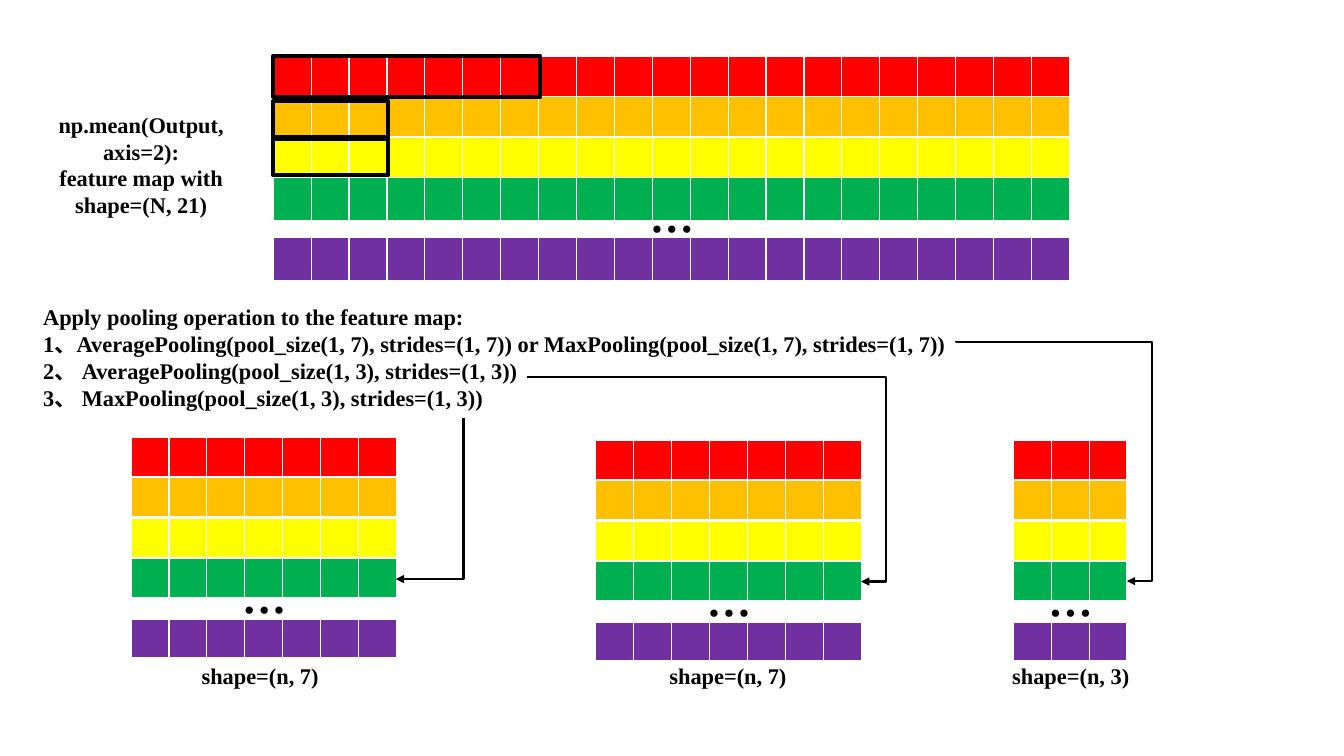
"""Build the slide on pooling a feature map into three smaller maps."""
from dataclasses import dataclass

from lxml.etree import SubElement
from pptx import Presentation
from pptx.dml.color import RGBColor as RGB
from pptx.enum.shapes import MSO_CONNECTOR as LINK, MSO_SHAPE as SHAPE
from pptx.enum.text import PP_ALIGN as ALIGN
from pptx.oxml import parse_xml
from pptx.oxml.ns import nsdecls, qn
from pptx.util import Inches, Pt


@dataclass
class Theme:
    font: str = "Times New Roman"
    ink: str = "000000"
    edge: str = "FFFFFF"
    rows: tuple = ("FF0000", "FFC000", "FFFF00", "00B050", "7030A0")
    body: int = 16
    dots: int = 32
    frame: float = 3
    link: float = 1.75


theme = Theme()
deck = Presentation()
deck.slide_width, deck.slide_height = Inches(13.33), Inches(7.5)
slide = deck.slides.add_slide(deck.slide_layouts[6])
shapes = slide.shapes


def write(text, x, y, wide, high, size=theme.body, align=ALIGN.CENTER):
    box = shapes.add_textbox(Inches(x), Inches(y), Inches(wide), Inches(high))
    frame = box.text_frame
    frame.word_wrap = True
    frame.text = text
    for para in frame.paragraphs:
        para.alignment = align
        font = para.runs[0].font
        font.name, font.size, font.bold = theme.font, Pt(size), True
        font.color.rgb = RGB.from_string(theme.ink)


def draw_map(x, y, count, high):
    wide = 7.9 * count / 21
    for tint, step in zip(theme.rows, (0, 0.4, 0.8, 1.2, 1.8)):
        table = shapes.add_table(1, count, Inches(x), Inches(y + step),
                                 Inches(wide), Inches(high)).table
        table.horz_banding = False
        for cell in table.iter_cells():
            cell.margin_top = cell.margin_bottom = 0
            cell.fill.solid()
            cell.fill.fore_color.rgb = RGB.from_string(tint)
            props = cell._tc.get_or_add_tcPr()
            for spot, (side, thick) in enumerate(zip("LRTB", (1, 1, 1, 3))):
                props.insert(spot, parse_xml(
                    f'<a:ln{side} {nsdecls("a")} w="{Pt(thick)}"><a:solidFill>'
                    f'<a:srgbClr val="{theme.edge}"/></a:solidFill></a:ln{side}>'))
    write("···", x + wide / 2 - 0.95, y + 1.37, 1.91, 0.64, size=theme.dots)


draw_map(2.71, 0.56, 21, 0.44)
write("np.mean(Output, axis=2):\nfeature map with shape=(N, 21)",
      0.1, 1.05, 2.6, 0.91)

for y, wide, high in ((0.56, 2.65, 0.4), (1, 1.14, 0.36), (1.38, 1.14, 0.36)):
    pool = shapes.add_shape(SHAPE.RECTANGLE, Inches(2.71), Inches(y),
                            Inches(wide), Inches(high))
    pool.shadow.inherit = False
    pool.fill.background()
    pool.line.color.rgb = RGB.from_string(theme.ink)
    pool.line.width = Pt(theme.frame)

write("Apply pooling operation to the feature map:\n"
      "1、AveragePooling(pool_size(1, 7), strides=(1, 7)) or "
      "MaxPooling(pool_size(1, 7), strides=(1, 7))\n"
      "2、 AveragePooling(pool_size(1, 3), strides=(1, 3))\n"
      "3、 MaxPooling(pool_size(1, 3), strides=(1, 3))",
      0.33, 2.96, 10.75, 1.18, align=ALIGN.LEFT)

for x, y, count in ((10.05, 4.37, 3), (1.3, 4.34, 7), (5.91, 4.37, 7)):
    draw_map(x, y, count, 0.4)

links = (
    ((11.52, 3.73, 9.14, 5.42), 270, "bentConnector4", (400, 114800)),
    ((5.23, 3.74, 8.54, 5.77), 0, "bentConnector3", (107500,)),
    ((3.46, 4.61, 5.06, 5.28), 90, "bentConnector2", ()),
)
for ends, turn, kind, bends in links:
    link = shapes.add_connector(LINK.ELBOW, *map(Inches, ends))
    link.line.color.rgb = RGB.from_string(theme.ink)
    link.line.width = Pt(theme.link)
    SubElement(link.line._get_or_add_ln(), qn("a:tailEnd"), type="triangle")
    props = link._element.spPr
    SubElement(props, qn("a:effectLst"))
    props.find(qn("a:xfrm")).set("rot", str(turn * 60000))
    shape = props.find(qn("a:prstGeom"))
    shape.set("prst", kind)
    guides = shape.find(qn("a:avLst"))
    for spot, bend in enumerate(bends, 1):
        SubElement(guides, qn("a:gd"), name=f"adj{spot}" if len(bends) > 1 else "adj1",
                   fmla=f"val {bend}")

for x, count in ((1.26, 7), (5.9, 7), (9.3, 3)):
    write(f"shape=(n, {count})", x, 6.52, 2.64, 0.37)

deck.save("out.pptx")
